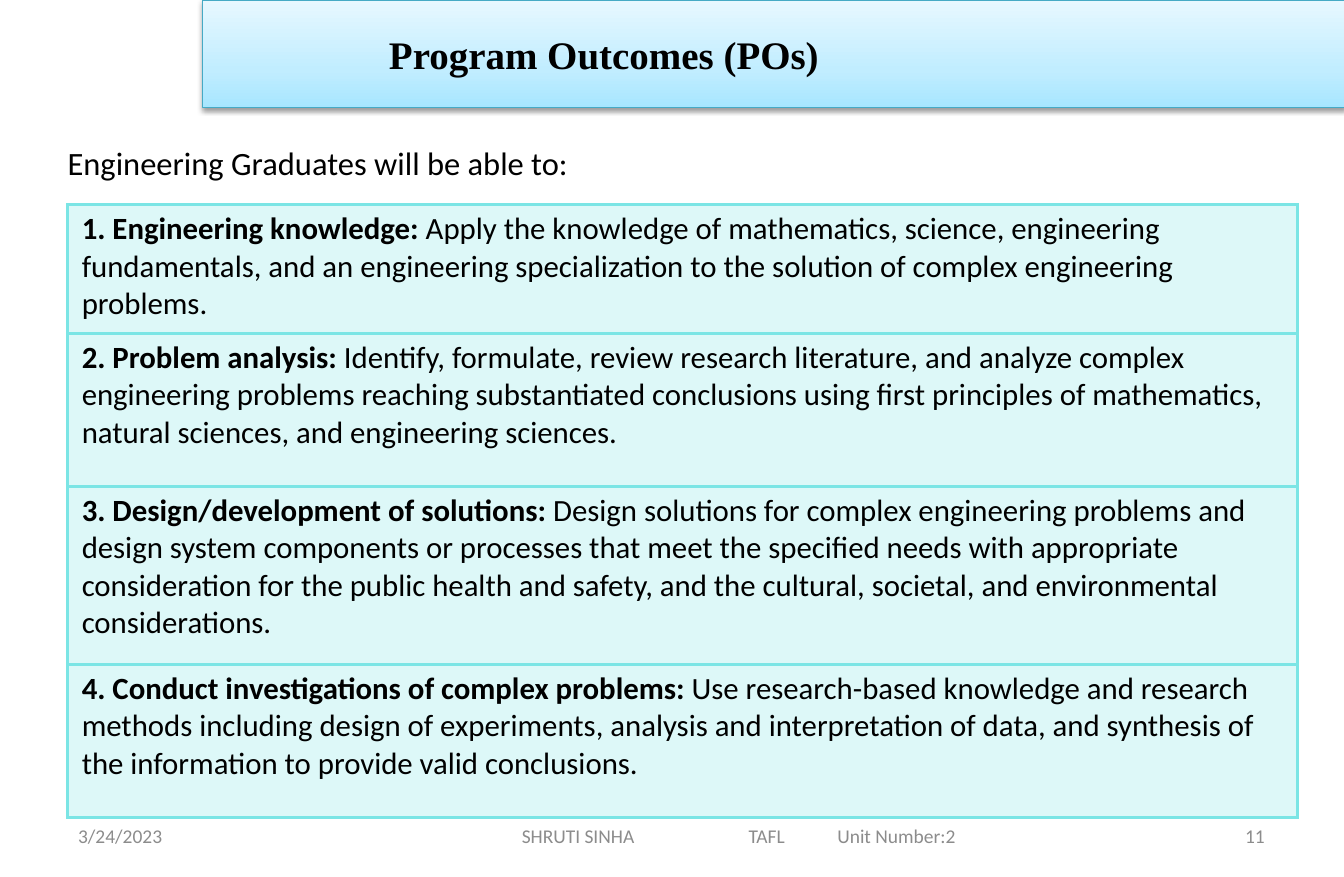
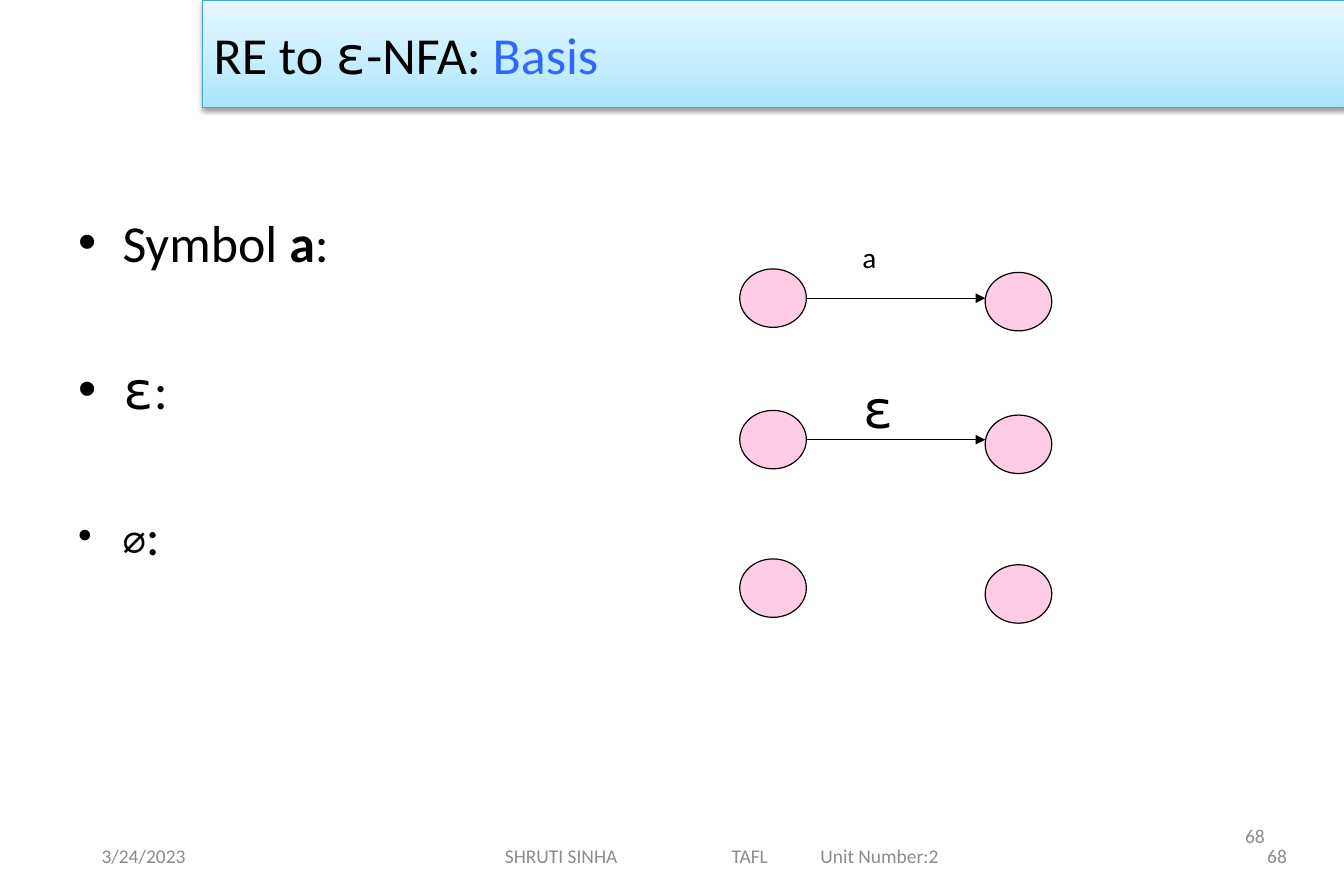
from pptx import Presentation
from pptx.dml.color import RGBColor
from pptx.enum import shapes, text
from pptx.oxml import parse_xml
from pptx.oxml.ns import nsdecls
from pptx.util import Inches, Pt

INK = {"black": "000000", "grey": "8C8C8C", "blue": "3366FF", "teal": "7BE5E5",
       "pink": "FF99CC", "edge": "46AAC5", "deep": "A7E6FF", "mid": "C1EDFF", "pale": "E7F8FF"}
BODY, MONO, SERIF = "Calibri", "DejaVu Sans Mono", "Times New Roman"
LEFT, MID, RIGHT = text.PP_ALIGN.LEFT, text.MSO_ANCHOR.MIDDLE, text.PP_ALIGN.RIGHT


def attach(node, name, attrs="", inner=""):
    node.append(parse_xml(f"<a:{name} {nsdecls('a')} {attrs}>{inner}</a:{name}>"))


def write(par, size, runs, color="black", face=BODY, align=LEFT):
    par.alignment = align
    par.font.size, par.font.name = Pt(size), face
    par.font.color.rgb = RGBColor.from_string(INK[color])
    for words, look in runs:
        run = par.add_run()
        run.text = words
        if "bold" in look:
            run.font.bold = look["bold"]
        if "face" in look:
            run.font.name = look["face"]
        if "size" in look:
            run.font.size = Pt(look["size"])
        if "color" in look:
            run.font.color.rgb = RGBColor.from_string(INK[look["color"]])


deck = Presentation()
deck.slide_width, deck.slide_height = Inches(11.5), Inches(7.5)

heads = [
    (24, SERIF, 1.5, [("Program Outcomes (POs)", {"bold": True})]),
    (32, BODY, 0, [("RE to ", {}), ("ε", {"face": MONO}), ("-NFA: ", {}),
                   ("Basis", {"color": "blue"})]),
]
credit = "SHRUTI SINHA\tTAFL\tUnit Number:2"
feet = [
    [(0.57, 6.95, 2.68, "3/24/2023", LEFT), (3.16, 6.95, 6.33, credit, LEFT),
     (8.24, 6.95, 2.68, "11", RIGHT)],
    [(0.77, 7.12, 2.68, "3/24/2023", LEFT), (3.45, 7.12, 5.46, credit, LEFT),
     (8.43, 7.12, 2.68, "68", RIGHT), (8.24, 6.95, 2.68, "68", RIGHT)],
]
pages = []
for (size, face, inset, runs), foot in zip(heads, feet):
    page = deck.slides.add_slide(deck.slide_layouts[6])
    pages.append(page)
    band = page.shapes.add_shape(shapes.MSO_SHAPE.RECTANGLE, Inches(1.73), 0,
                                 Inches(9.78), Inches(0.92))
    props = band._element.spPr
    stops = "".join(f'<a:gs pos="{pos}000"><a:srgbClr val="{INK[key]}"/></a:gs>'
                    for pos, key in [(0, "deep"), (35, "mid"), (100, "pale")])
    attach(props, "gradFill", 'rotWithShape="1"',
           f'<a:gsLst>{stops}</a:gsLst><a:lin ang="16200000" scaled="0"/>')
    band.line.color.rgb = RGBColor.from_string(INK["edge"])
    band.line.width = Pt(0.75)
    attach(props, "effectLst", "",
           f'<a:outerShdw blurRad="{Pt(3.1)}" dist="{Pt(1.6)}" dir="5400000" rotWithShape="0">'
           f'<a:srgbClr val="{INK["black"]}"><a:alpha val="38000"/></a:srgbClr></a:outerShdw>')
    band.text_frame.vertical_anchor = MID
    par = band.text_frame.paragraphs[0]
    par._p.get_or_add_pPr().set("marL", str(Inches(inset)))
    write(par, size, runs, face=face)

    for left, top, width, words, align in foot:
        frame = page.shapes.add_textbox(Inches(left), Inches(top), Inches(width),
                                        Inches(0.4)).text_frame
        frame.word_wrap, frame.vertical_anchor = True, MID
        par = frame.paragraphs[0]
        if words == credit:
            frame.margin_left = Inches((width - 3.72) / 2)
            tabs = "".join(f'<a:tab pos="{Inches(pos)}" algn="l"/>' for pos in (1.94, 2.7))
            attach(par._p.get_or_add_pPr(), "tabLst", "", tabs)
        write(par, 12, [(words, {})], "grey", align=align)

goals, basis = pages

frame = goals.shapes.add_textbox(Inches(0.48), Inches(1.17), Inches(4.52),
                                 Inches(0.44)).text_frame
frame.word_wrap = False
write(frame.paragraphs[0], 20, [("Engineering Graduates will be able to:", {})])

items = [
    (1.1, "1. Engineering knowledge:", "Apply the knowledge of mathematics, science, engineering "
     "fundamentals, and an engineering specialization to the solution of complex engineering "
     "problems."),
    (1.31, "2. Problem analysis:", "Identify, formulate, review research literature, and analyze "
     "complex engineering problems reaching substantiated conclusions using first principles of "
     "mathematics, natural sciences, and engineering sciences."),
    (1.52, "3. Design/development of solutions:", "Design solutions for complex engineering "
     "problems and design system components or processes that meet the specified needs with "
     "appropriate consideration for the public health and safety, and the cultural, societal, "
     "and environmental considerations."),
    (1.31, "4. Conduct investigations of complex problems:", "Use research-based knowledge and "
     "research methods including design of experiments, analysis and interpretation of data, and "
     "synthesis of the information to provide valid conclusions."),
]
table = goals.shapes.add_table(len(items), 1, Inches(0.58), Inches(1.75),
                               Inches(10.52), Inches(5.25)).table
table.first_row = table.horz_banding = False
teal = f'<a:srgbClr val="{INK["teal"]}"/>'
for row, (height, name, words) in zip(table.rows, items):
    row.height = Inches(height)
    cell = row.cells[0]
    cell.margin_left = cell.margin_right = Inches(0.12)
    cell.margin_top = cell.margin_bottom = Inches(0.05)
    props = cell._tc.get_or_add_tcPr()
    for side in "LRTB":
        attach(props, f"ln{side}", f'w="{Pt(2.25)}"', f"<a:solidFill>{teal}</a:solidFill>")
    attach(props, "solidFill", "",
           f'<a:srgbClr val="{INK["teal"]}"><a:alpha val="25000"/></a:srgbClr>')
    write(cell.text_frame.paragraphs[0], 19,
          [(name, {"bold": True}), (" " + words, {"bold": False})])

frame = basis.shapes.add_textbox(Inches(0.57), Inches(1.75), Inches(10.35),
                                 Inches(4.95)).text_frame
frame.word_wrap = True
cases = [
    [("Symbol ", {}), ("a", {"bold": True}), (":", {})],
    [("ε", {"face": MONO}), (":", {})],
    [("∅", {"face": MONO, "size": 24}), (":", {})],
]
for step, runs in enumerate(cases):
    par = frame.add_paragraph() if step else frame.paragraphs[0]
    props = par._p.get_or_add_pPr()
    props.set("marL", str(Inches(0.38)))
    props.set("indent", str(Inches(-0.38)))
    attach(props, "buFont", 'typeface="Arial"')
    attach(props, "buChar", 'char="•"')
    if step:
        par.space_before = Pt(52)
    write(par, 32, runs)

black = RGBColor.from_string(INK["black"])
wires = [
    (2.3, 2.33, ("a", 2, 0.32, 0.4, 18, BODY)),
    (3.51, 3.55, ("ε", 3.17, 0.44, 0.64, 32, MONO)),
    (4.78, 4.83, None),
]
for start, end, label in wires:
    for left, top in [(6.33, start), (8.43, end)]:
        node = basis.shapes.add_shape(shapes.MSO_SHAPE.OVAL, Inches(left), Inches(top),
                                      Inches(0.57), Inches(0.5))
        attach(node._element.spPr, "solidFill", "",
               f'<a:srgbClr val="{INK["pink"]}"><a:alpha val="50000"/></a:srgbClr>')
        node.line.color.rgb = black
        node.line.width = Pt(0.75)
        node.shadow.inherit = False
    if label:
        mark, top, width, height, size, face = label
        level = Inches(start + 0.25)
        wire = basis.shapes.add_connector(shapes.MSO_CONNECTOR.STRAIGHT, Inches(6.9), level,
                                          Inches(8.43), level)
        wire.line.color.rgb = black
        wire.line.width = Pt(0.75)
        attach(wire.line._get_or_add_ln(), "tailEnd", 'type="triangle"')
        attach(wire._element.spPr, "effectLst")
        frame = basis.shapes.add_textbox(Inches(7.28), Inches(top), Inches(width),
                                         Inches(height)).text_frame
        frame.word_wrap = False
        write(frame.paragraphs[0], size, [(mark, {})], face=face)

deck.save("out.pptx")
